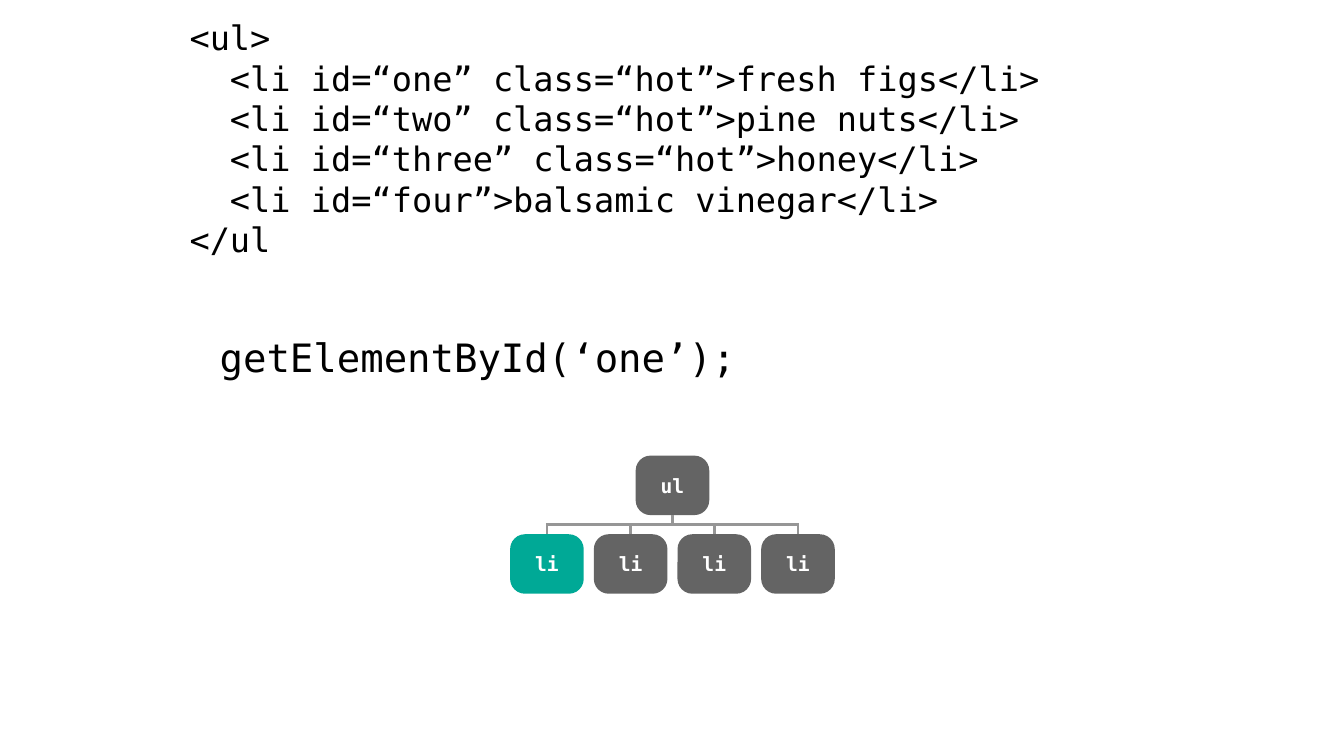
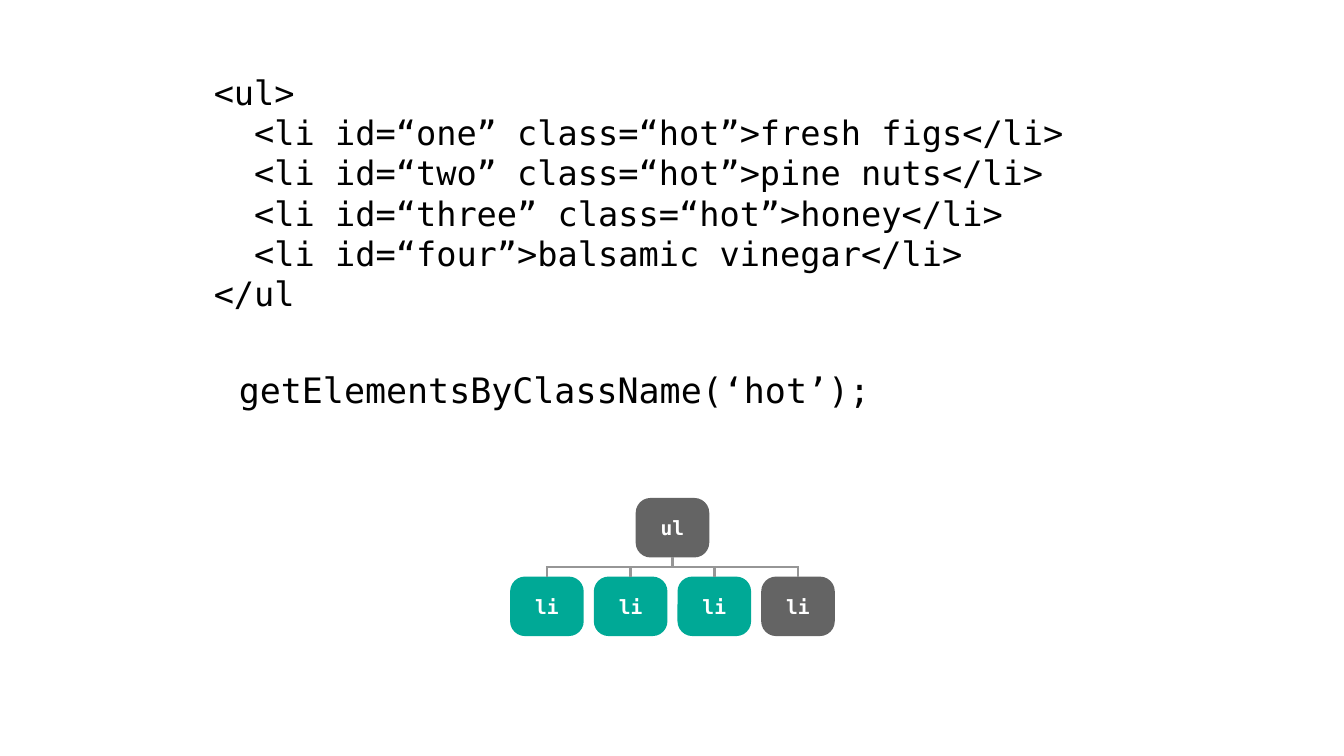
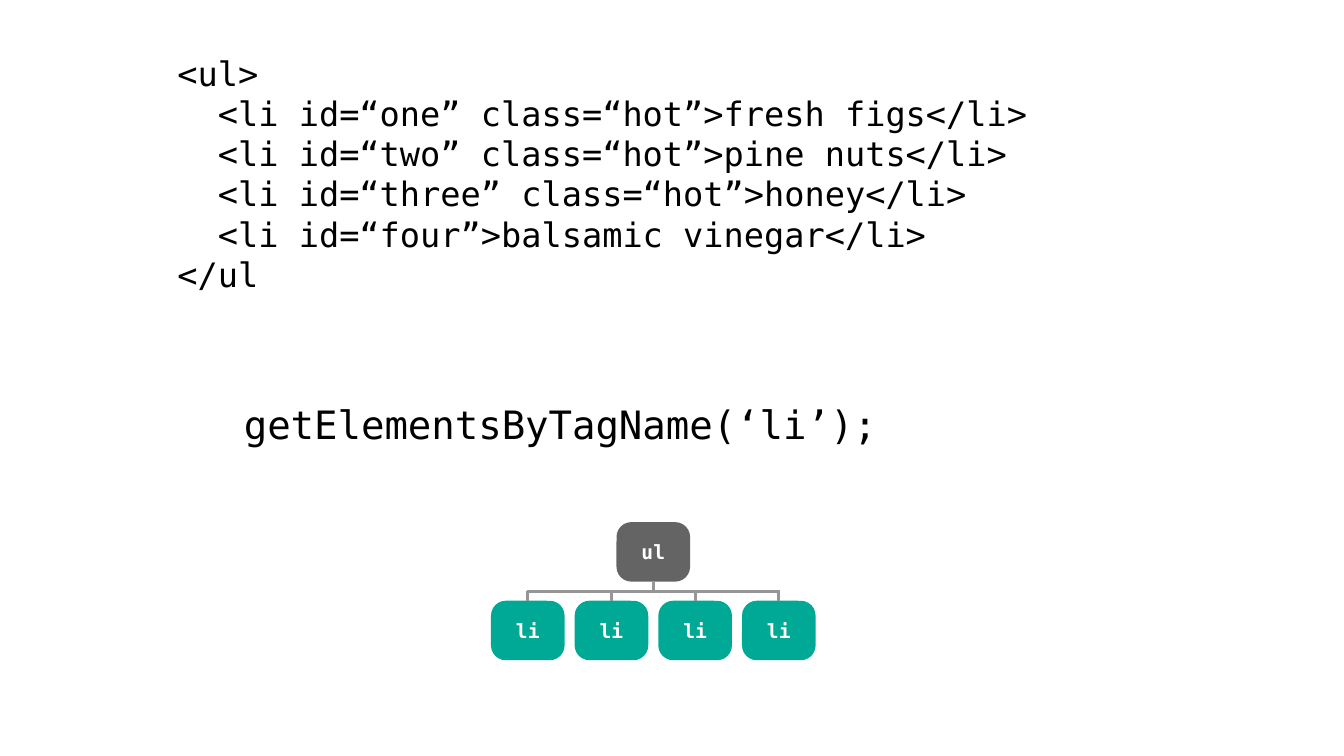
from dataclasses import dataclass

from lxml.etree import SubElement
from pptx import Presentation
from pptx.dml.color import RGBColor
from pptx.enum.shapes import MSO_CONNECTOR as Link, MSO_SHAPE as Form
from pptx.enum.text import MSO_ANCHOR as Anchor, PP_ALIGN as Align
from pptx.oxml.ns import qn
from pptx.util import Inches, Pt

BLACK = RGBColor(0x00, 0x00, 0x00)
WHITE = RGBColor(0xFF, 0xFF, 0xFF)
GRAY = RGBColor(0x64, 0x64, 0x64)
TEAL = RGBColor(0x00, 0xA9, 0x96)
RULE = RGBColor(0x96, 0x96, 0x96)
FONT = "DejaVu Sans Mono"

# Tree grid, in inches
NODE_W, NODE_H = 0.73, 0.59
COL, ROW = 0.83, 0.78
LEAVES = 4

CODE = (
    "<ul>",
    "  <li id=“one” class=“hot”>fresh figs</li>",
    "  <li id=“two” class=“hot”>pine nuts</li>",
    "  <li id=“three” class=“hot”>honey</li>",
    "  <li id=“four”>balsamic vinegar</li>",
    "</ul",
)


@dataclass(frozen=True)
class Spot:
    x: float
    y: float


@dataclass(frozen=True)
class Page:
    call: str
    size: float
    title: Spot
    code: Spot
    tree: Spot
    hits: int  # leaves that the call selects, from the left


PAGES = (
    Page("getElementById(‘one’);", 27.9,
         Spot(2.08, 3.32), Spot(1.88, 0.17), Spot(5.06, 4.52), 1),
    Page("getElementsByClassName(‘hot’);", 25,
         Spot(2.27, 3.65), Spot(2.12, 0.71), Spot(5.06, 4.94), 3),
    Page("getElementsByTagName(‘li’);", 27.9,
         Spot(2.32, 3.99), Spot(1.76, 0.52), Spot(4.87, 5.18), 4),
)


def add_run(para, text: str, size: float, color=BLACK, bold=False) -> None:
    run = para.add_run()
    run.text = text
    font = run.font
    font.name, font.size, font.bold = FONT, Pt(size), bold
    font.color.rgb = color


def set_frame(shape, anchor, side: float, top: float):
    """Set wrap, anchor and insets, and return the first paragraph."""
    frame = shape.text_frame
    frame.word_wrap = True
    frame.vertical_anchor = anchor
    frame.margin_left = frame.margin_right = Inches(side)
    frame.margin_top = frame.margin_bottom = Inches(top)
    return frame.paragraphs[0]


def add_box(slide, spot: Spot, wide: float, high: float):
    return slide.shapes.add_textbox(*map(Inches, (spot.x, spot.y, wide, high)))


def add_title(slide, page: Page) -> None:
    para = set_frame(add_box(slide, page.title, 8.79, 0.49), Anchor.MIDDLE, 0.1, 0.05)
    para.line_spacing = 0.9
    add_run(para, page.call, page.size)


def add_code(slide, spot: Spot) -> None:
    para = set_frame(add_box(slide, spot, 9.92, 2.45), Anchor.TOP, 0, 0)
    for row, line in enumerate(CODE):
        if row:
            para.add_line_break()
        add_run(para, line, 24)


def add_node(group, text: str, spot: Spot, fill: RGBColor):
    node = group.shapes.add_shape(
        Form.ROUNDED_RECTANGLE, *map(Inches, (spot.x, spot.y, NODE_W, NODE_H)))
    node.adjustments[0] = 0.25
    node.shadow.inherit = False
    node.fill.solid()
    node.fill.fore_color.rgb = fill
    node.line.fill.background()
    para = set_frame(node, Anchor.MIDDLE, 0.06, 0.06)
    para.alignment = Align.CENTER
    add_run(para, text, 14, WHITE, True)
    return node


def add_line(group, start: Spot, end: Spot):
    line = group.shapes.add_connector(
        Link.STRAIGHT, *map(Inches, (start.x, start.y, end.x, end.y)))
    line.line.color.rgb = RULE
    line.line.width = Pt(2)
    SubElement(line._element.spPr, qn("a:effectLst"))
    return line


def add_tree(slide, spot: Spot, hits: int) -> None:
    group = slide.shapes.add_group_shape()
    mid = spot.x + NODE_W / 2
    center = mid + COL * (LEAVES - 1) / 2
    base = spot.y + NODE_H
    leaf_y = spot.y + ROW
    bar_y = (base + leaf_y) / 2

    root = add_node(group, "ul", Spot(center - NODE_W / 2, spot.y), GRAY)
    for col in range(LEAVES):
        left = spot.x + col * COL
        leaf = add_node(group, "li", Spot(left, leaf_y), TEAL if col < hits else GRAY)
        x = mid + col * COL
        stem = add_line(group, Spot(x, bar_y), Spot(x, leaf_y))
        stem.end_connect(leaf, 0)
    trunk = add_line(group, Spot(center, base), Spot(center, bar_y))
    trunk.begin_connect(root, 2)
    over = 0.01  # covers the outer edge of the end stems
    add_line(group, Spot(mid - over, bar_y),
             Spot(mid + COL * (LEAVES - 1) + over, bar_y))


def main() -> None:
    deck = Presentation()
    deck.slide_width, deck.slide_height = Inches(13.33), Inches(7.5)
    blank = deck.slide_layouts[6]
    for page in PAGES:
        slide = deck.slides.add_slide(blank)
        add_title(slide, page)
        add_tree(slide, page.tree, page.hits)
        add_code(slide, page.code)
    deck.save("out.pptx")


if __name__ == "__main__":
    main()
